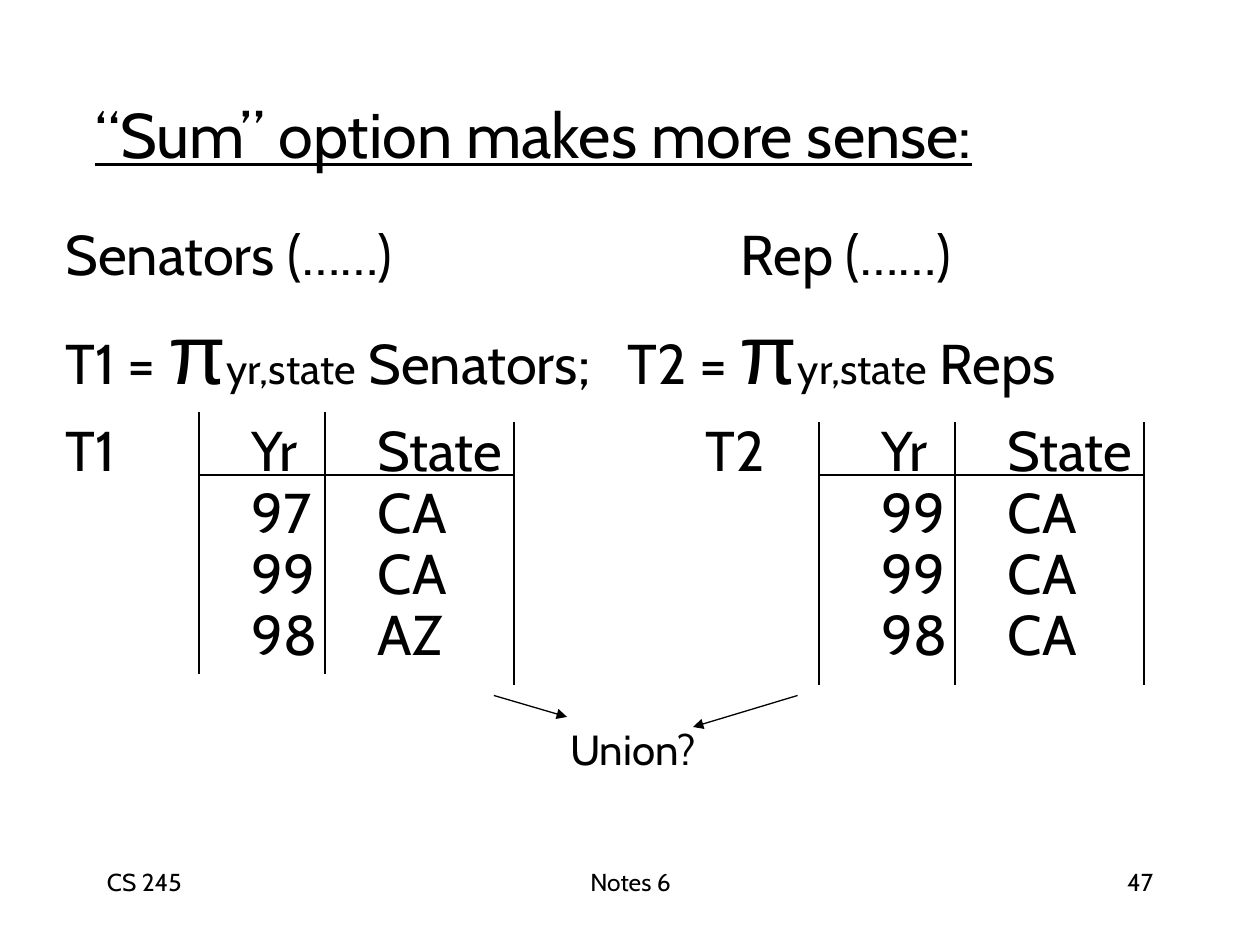
from lxml import etree
from pptx import Presentation
from pptx.dml.color import RGBColor
from pptx.enum.shapes import MSO_CONNECTOR
from pptx.enum.text import MSO_ANCHOR as Anchor, PP_ALIGN as Align
from pptx.oxml.ns import qn
from pptx.util import Inches, Pt

COLORS = {"ink": "000000", "paper": "FFFFFF"}
BODY_LEFT = 0.42
INSET = 0.1


class SlideBuilder:
    """Holds the slide and the style shared by its elements."""

    font, symbol_font = "Cabin", "Arial"

    def __init__(self, slide):
        self.slide = slide
        fill = slide.background.fill
        fill.solid()
        fill.fore_color.rgb = RGBColor.from_string(COLORS["paper"])

    def style(self, run, size, font=None):
        run.font.size = Pt(size)
        run.font.name = font or self.font
        run.font.color.rgb = RGBColor.from_string(COLORS["ink"])

    def frame(self, left, top, width, height, anchor=Anchor.TOP, wrap=True):
        box = self.slide.shapes.add_textbox(
            Inches(left), Inches(top), Inches(width), Inches(height))
        box.text_frame.word_wrap = wrap
        box.text_frame.vertical_anchor = anchor
        return box.text_frame

    def label(self, text, place, size, align=Align.LEFT, anchor=Anchor.TOP,
              wrap=True, underline=False):
        frame = self.frame(*place, anchor, wrap)
        frame.text = text
        paragraph = frame.paragraphs[0]
        paragraph.alignment = align
        run = paragraph.runs[0]
        self.style(run, size)
        run.font.underline = underline

    def tabbed_line(self, paragraph, parts, stops, spacing=1.0):
        """Fill a paragraph with (text, size, font) parts; stops are slide x positions."""
        tabs = etree.SubElement(paragraph._p.get_or_add_pPr(), qn("a:tabLst"))
        for stop in stops:
            position = Inches(stop - BODY_LEFT - INSET)
            etree.SubElement(tabs, qn("a:tab"), pos=str(position), algn="l")
        paragraph.line_spacing = spacing
        for text, size, font in parts:
            run = paragraph.add_run()
            run.text = text
            self.style(run, size, font)

    def line(self, start, end, arrow=False):
        points = [Inches(value) for value in (*start, *end)]
        connector = self.slide.shapes.add_connector(MSO_CONNECTOR.STRAIGHT, *points)
        connector.line.color.rgb = RGBColor.from_string(COLORS["ink"])
        connector.line.width = Pt(0.75)
        if arrow:
            etree.SubElement(connector.line._get_or_add_ln(),
                             qn("a:tailEnd"), type="triangle")
        etree.SubElement(connector._element.spPr, qn("a:effectLst"))


def add_body(builder):
    def plain(text):
        return text, 32, None

    projection = [("π", 48, builder.symbol_font), ("yr,state", 24, None)]
    columns = [2, 3, 5.6, 7, 8]
    rows = [("97", "CA", "99", "CA"),
            ("99", "CA", "99", "CA"),
            ("98", "AZ", "98", "CA")]
    lines = [
        ([plain("Senators (……)\tRep (……)")], [5.88], 1.0),
        ([plain("T1 = "), *projection, plain(" Senators;\tT2 = "),
          *projection, plain(" Reps")], [4.98], 1.0),
        ([plain("T1\tYr\tState\tT2\tYr\tState")], columns, 1.0),
    ]
    for year1, state1, year2, state2 in rows:
        text = f"\t{year1}\t{state1}\t\t{year2}\t{state2}"
        lines.append(([plain(text)], columns, 0.7))

    frame = builder.frame(BODY_LEFT, 1.69, 9.35, 4.5)
    for index, (parts, stops, spacing) in enumerate(lines):
        paragraph = frame.add_paragraph() if index else frame.paragraphs[0]
        builder.tabbed_line(paragraph, parts, stops, spacing)
        if index:
            paragraph.space_before = Pt(8)


def add_rules(builder):
    left_rules = [(1.58, 3.27, 5.35), (2.58, 3.27, 5.35), (4.08, 3.35, 5.44)]
    right_rules = [(x, 3.35, 5.44) for x in (6.5, 7.58, 9.08)]
    for rules in (left_rules, right_rules):
        for x, top, bottom in rules:
            builder.line((x, top), (x, bottom))
        builder.line((rules[0][0], 3.77), (rules[-1][0], 3.77))


def main():
    prs = Presentation()
    prs.slide_width, prs.slide_height = Inches(10), Inches(7.5)
    builder = SlideBuilder(prs.slides.add_slide(prs.slide_layouts[6]))

    footers = [("CS 245", 0.75, 2.08, Align.LEFT),
               ("Notes 6", 3.42, 3.17, Align.CENTER),
               ("47", 7.17, 2.08, Align.RIGHT)]
    for text, left, width, align in footers:
        builder.label(text, (left, 6.83, width, 0.5), 14, align)

    builder.label("“Sum” option makes more sense:", (0.66, 0.43, 8.5, 1.25), 36,
                  anchor=Anchor.MIDDLE, underline=True)
    add_body(builder)
    add_rules(builder)

    builder.line((3.92, 5.52), (4.5, 5.69), arrow=True)
    builder.line((6.33, 5.52), (5.5, 5.77), arrow=True)
    builder.label("Union?", (4.38, 5.69, 1.29, 0.5), 24, Align.CENTER,
                  Anchor.MIDDLE, wrap=False)
    prs.save("out.pptx")


if __name__ == "__main__":
    main()
